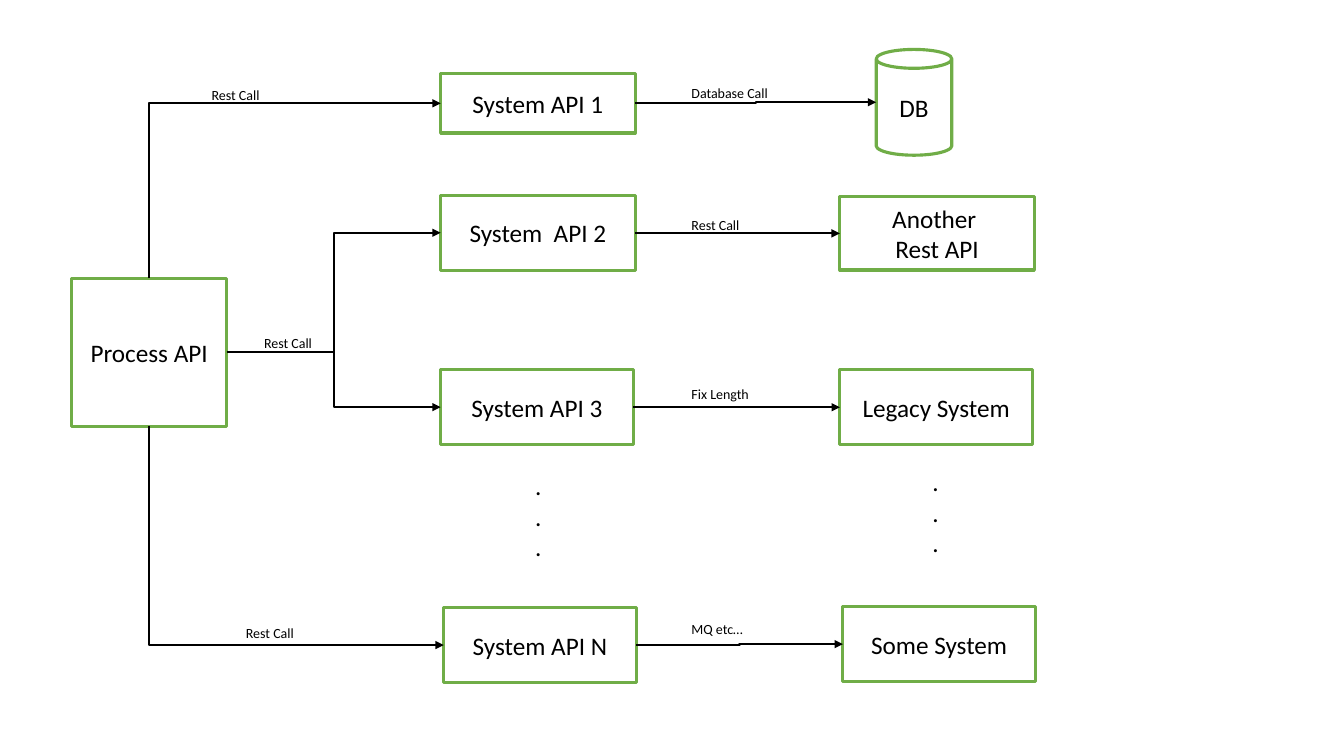
from lxml import etree
from pptx import Presentation
from pptx.dml.color import RGBColor
from pptx.enum.shapes import MSO_CONNECTOR, MSO_SHAPE
from pptx.enum.text import MSO_ANCHOR, MSO_AUTO_SIZE, PP_ALIGN
from pptx.oxml.ns import qn
from pptx.util import Inches, Pt

RECTANGLE = MSO_SHAPE.RECTANGLE
CAN = MSO_SHAPE.CAN
ELBOW = MSO_CONNECTOR.ELBOW
MIDDLE = MSO_ANCHOR.MIDDLE
LEFT, CENTER = PP_ALIGN.LEFT, PP_ALIGN.CENTER
GROW = MSO_AUTO_SIZE.SHAPE_TO_FIT_TEXT
TOP_SIDE, LEFT_SIDE, BOTTOM_SIDE, RIGHT_SIDE = range(4)

FONT = "Calibri"
COLORS = {"box": "FFFFFF", "border": "70AD47", "ink": "000000"}

PROCESS = ("Process API", 0.71, 2.76, 1.54, 1.47)
ROWS = [
    (("System API 1", 4.37, 0.73, 1.93, 0.59), ("DB", 8.69, 0.49, 0.75, 1.05)),
    (("System  API 2", 4.37, 1.94, 1.93, 0.74), ("Another \nRest API", 8.33, 1.95, 1.93, 0.73)),
    (("System API 3", 4.37, 3.67, 1.91, 0.74), ("Legacy System", 8.33, 3.67, 1.91, 0.74)),
    (("System API N", 4.4, 6.03, 1.91, 0.74), ("Some System", 8.36, 6.02, 1.91, 0.74)),
]
CALL_LABELS = [
    ("Rest Call", 2, 0.81, 0.69),
    ("Rest Call", 2.52, 3.27, 0.69),
    ("Rest Call", 2.34, 6.15, 0.69),
    ("Database Call", 6.76, 0.79, 0.97),
    ("Rest Call", 6.76, 2.1, 0.69),
    ("Fix Length", 6.76, 3.78, 0.78),
    ("MQ etc…", 6.76, 6.11, 0.73),
]
DOT_COLUMNS = [(5.21, 4.62), (9.15, 4.58)]


def color(name):
    return RGBColor.from_string(COLORS[name])


def write_text(frame, text, size=18, align=LEFT):
    for index, line in enumerate(text.split("\n")):
        paragraph = frame.add_paragraph() if index else frame.paragraphs[0]
        paragraph.alignment = align
        run = paragraph.add_run()
        run.text = line
        run.font.size = Pt(size)
        run.font.name = FONT
        run.font.color.rgb = color("ink")


def add_box(slide, text, left, top, width, height, kind=RECTANGLE):
    shape = slide.shapes.add_shape(
        kind, Inches(left), Inches(top), Inches(width), Inches(height))
    shape.shadow.inherit = False
    shape.fill.solid()
    shape.fill.fore_color.rgb = color("box")
    shape.line.color.rgb = color("border")
    shape.line.width = Pt(2.25)
    shape.text_frame.vertical_anchor = MIDDLE
    write_text(shape.text_frame, text, align=CENTER)
    return shape


def add_label(slide, text, left, top, width, height=0.27, size=10):
    box = slide.shapes.add_textbox(
        Inches(left), Inches(top), Inches(width), Inches(height))
    box.text_frame.word_wrap = False
    box.text_frame.auto_size = GROW
    write_text(box.text_frame, text, size=size)


def add_arrow(slide, source, target, side=RIGHT_SIDE):
    target_middle = target.top + target.height // 2
    connector = slide.shapes.add_connector(ELBOW, 0, 0, target.left, target_middle)
    connector.begin_connect(source, side)
    if target.auto_shape_type == RECTANGLE:
        connector.end_connect(target, LEFT_SIDE)
    connector.line.color.rgb = color("ink")
    connector.line.width = Pt(1.5)
    properties = connector._element.spPr
    line = properties.find(qn("a:ln"))
    etree.SubElement(line, qn("a:tailEnd"), type="triangle")
    etree.SubElement(properties, qn("a:effectLst"))
    return connector


def add_corner_arrow(slide, source, target, side):
    connector = add_arrow(slide, source, target, side)
    upward = side == TOP_SIDE
    width, height = connector.width, connector.height
    connector.left += (width - height) // 2
    connector.top += (height - width) // 2
    connector.width, connector.height = height, width
    properties = connector._element.spPr
    properties.find(qn("a:prstGeom")).set("prst", "bentConnector2")
    transform = properties.find(qn("a:xfrm"))
    transform.set("rot", str((90 if upward else 270) * 60000))
    transform.set("flipH", "1")
    transform.set("flipV", "1" if upward else "0")


def main():
    presentation = Presentation()
    presentation.slide_width = Inches(13.33)
    presentation.slide_height = Inches(7.5)
    slide = presentation.slides.add_slide(presentation.slide_layouts[6])

    process = add_box(slide, *PROCESS)
    systems = []
    for system_box, backend_box in ROWS:
        system = add_box(slide, *system_box)
        kind = CAN if backend_box[0] == "DB" else RECTANGLE
        backend = add_box(slide, *backend_box, kind=kind)
        add_arrow(slide, system, backend)
        systems.append(system)

    add_corner_arrow(slide, process, systems[0], TOP_SIDE)
    for system in systems[1:3]:
        add_arrow(slide, process, system)
    add_corner_arrow(slide, process, systems[3], BOTTOM_SIDE)

    for label in CALL_LABELS:
        add_label(slide, *label)
    for left, top in DOT_COLUMNS:
        add_label(slide, ".\n.\n.", left, top, 0.27, height=1.01, size=18)

    presentation.save("out.pptx")


if __name__ == "__main__":
    main()
